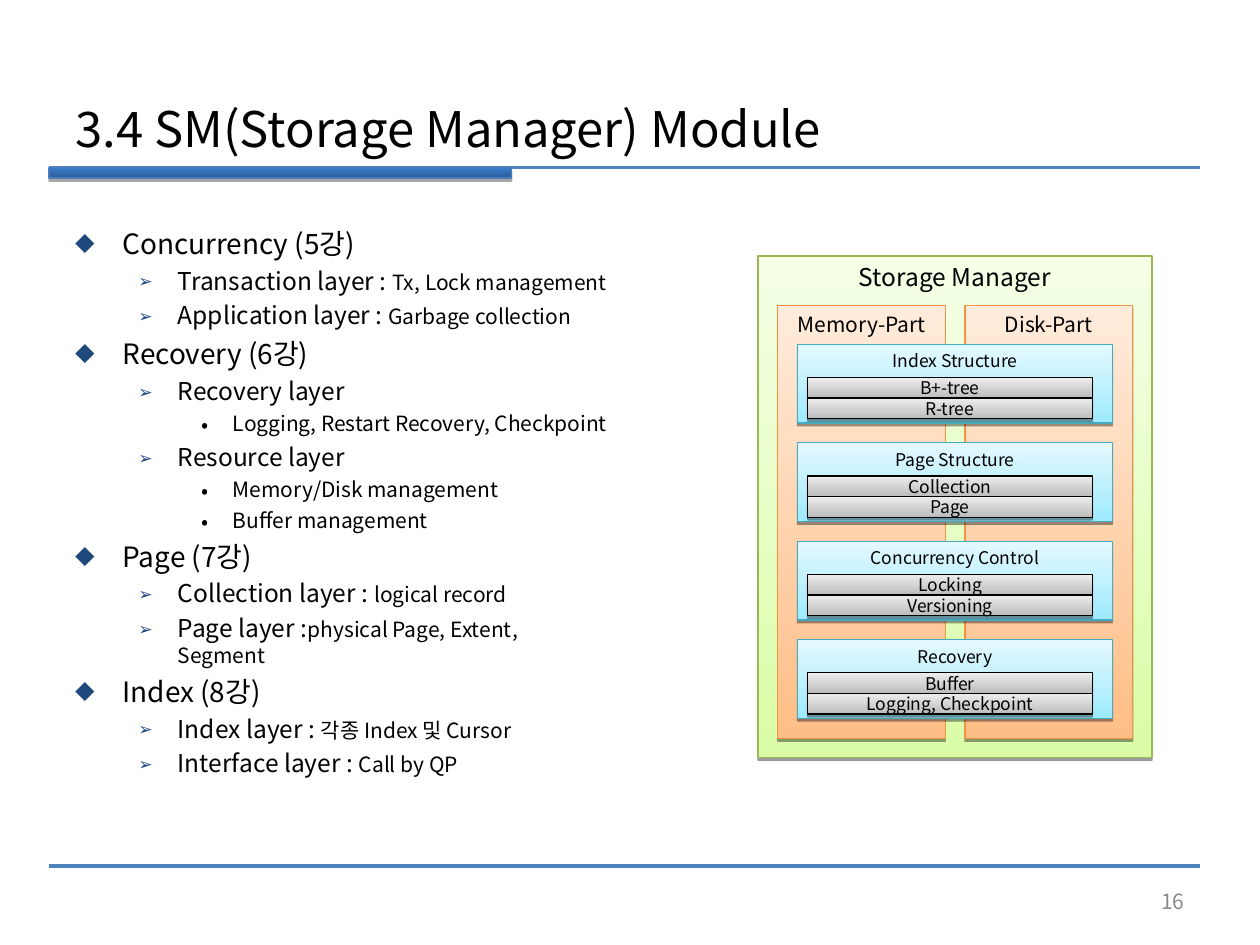
from lxml import etree
from pptx import Presentation
from pptx.dml.color import RGBColor
from pptx.enum import shapes, text
from pptx.oxml import ns
from pptx.util import Pt

FONT = "Noto Sans CJK KR"
BLACK = RGBColor(0, 0, 0)
GRAY = RGBColor(0x89, 0x89, 0x89)
NAVY = RGBColor(0x1F, 0x49, 0x7D)
RULE_BLUE = RGBColor(0x4F, 0x81, 0xBD)


def palette(*codes):
    return [RGBColor.from_string(code) for code in codes]


BLUE = palette("2C5D98", "3A7CCB", "4A7EBB")
GREEN = palette("DAFDA7", "F5FFE6", "98B954")
ORANGE = palette("FFBE86", "FFEBDB", "F69240")
CYAN = palette("9EEAFF", "E4F9FF", "46AAC5")
SILVER = palette("BCBCBC", "EDEDED", "000000")

LEVELS = [
    dict(size=16, margin=27, hang=27, space=4, bullet="◆", color=NAVY, scale=70),
    dict(size=14, margin=58.5, hang=22.5, space=3, bullet="➢", color=NAVY, scale=70),
    dict(size=12, margin=90, hang=18, space=3, bullet="•", color=BLACK, scale=100),
]
DETAIL_SIZE = 12

OUTLINE = [
    (0, "Concurrency (5강)", ""),
    (1, "Transaction layer : ", "Tx, Lock management"),
    (1, "Application layer : ", "Garbage collection"),
    (0, "Recovery (6강)", ""),
    (1, "Recovery layer", ""),
    (2, "Logging, Restart Recovery, Checkpoint", ""),
    (1, "Resource layer", ""),
    (2, "Memory/Disk management", ""),
    (2, "Buffer management", ""),
    (0, "Page (7강)", ""),
    (1, "Collection layer : ", "logical record"),
    (1, "Page layer :", "physical Page, Extent, Segment"),
    (0, "Index (8강)", ""),
    (1, "Index layer : ", "각종 Index 및 Cursor"),
    (1, "Interface layer : ", "Call by QP"),
]

PARTS = ["Memory-Part", "Disk-Part"]
MODULES = [
    ("Index Structure", ["B+-tree", "R-tree"]),
    ("Page Structure", ["Collection", "Page"]),
    ("Concurrency Control", ["Locking", "Versioning"]),
    ("Recovery", ["Buffer", "Logging, Checkpoint"]),
]


def add_xml(parent, tag, **attributes):
    return etree.SubElement(parent, ns.qn(tag), **attributes)


class Deck:
    def __init__(self, width, height):
        self.presentation = Presentation()
        self.presentation.slide_width = Pt(width)
        self.presentation.slide_height = Pt(height)
        self.slide = self.presentation.slides.add_slide(self.presentation.slide_layouts[5])

    def style(self, paragraph, size, color=BLACK, align=text.PP_ALIGN.LEFT):
        paragraph.alignment = align
        paragraph.font.name = FONT
        paragraph.font.size = Pt(size)
        paragraph.font.color.rgb = color
        add_xml(paragraph._p.pPr.find(ns.qn("a:defRPr")), "a:ea", typeface=FONT)

    def title(self, words, left, top, width, height):
        title = self.slide.shapes.title
        title.left, title.top, title.width, title.height = map(Pt, (left, top, width, height))
        title.text_frame.text = words
        title.text_frame.vertical_anchor = text.MSO_ANCHOR.MIDDLE
        self.style(title.text_frame.paragraphs[0], 28)

    def rule(self, left, right, y):
        rule = self.slide.shapes.add_connector(
            shapes.MSO_CONNECTOR.STRAIGHT, Pt(left), Pt(y), Pt(right), Pt(y))
        rule.line.color.rgb = RULE_BLUE
        rule.line.width = Pt(2)
        add_xml(rule._element.spPr, "a:effectLst")

    def block(self, left, top, width, height, colors, words="", size=10,
              anchor=text.MSO_ANCHOR.TOP, opacity=38, drop=1.6):
        block = self.slide.shapes.add_shape(
            shapes.MSO_SHAPE.RECTANGLE, Pt(left), Pt(top), Pt(width), Pt(height))
        block.fill.gradient()
        block.fill.gradient_angle = 90
        for stop, color, position in zip(block.fill.gradient_stops, colors, (0, 1)):
            stop.color.rgb = color
            stop.position = position
        block.line.color.rgb = colors[2]
        block.line.width = Pt(0.75)
        block.shadow.inherit = False
        effects = block._element.spPr.find(ns.qn("a:effectLst"))
        shadow = add_xml(effects, "a:outerShdw", blurRad="0", dist=str(Pt(drop)),
                         dir="5400000", rotWithShape="0")
        shade = add_xml(shadow, "a:srgbClr", val=str(BLACK))
        add_xml(shade, "a:alpha", val=str(opacity * 1000))
        if words:
            frame = block.text_frame
            frame.text = words
            frame.vertical_anchor = anchor
            self.style(frame.paragraphs[0], size, align=text.PP_ALIGN.CENTER)

    def text_box(self, left, top, width, height):
        box = self.slide.shapes.add_textbox(Pt(left), Pt(top), Pt(width), Pt(height))
        box.text_frame.word_wrap = True
        return box.text_frame

    def page_number(self, number, left, top, width, height):
        frame = self.text_box(left, top, width, height)
        frame.text = number
        frame.vertical_anchor = text.MSO_ANCHOR.MIDDLE
        self.style(frame.paragraphs[0], 12, GRAY, text.PP_ALIGN.RIGHT)

    def outline(self, entries, left, top, width, height):
        frame = self.text_box(left, top, width, height)
        for index, (level, heading, detail) in enumerate(entries):
            look = LEVELS[level]
            paragraph = frame.add_paragraph() if index else frame.paragraphs[0]
            paragraph.level = level
            if index:
                plain_layer = level == 1 and not detail
                paragraph.space_before = Pt(3.5 if plain_layer else look["space"])
            self.bullet(paragraph, look)
            self.style(paragraph, look["size"])
            paragraph.add_run().text = heading
            if detail:
                detail_run = paragraph.add_run()
                detail_run.text = detail
                detail_run.font.size = Pt(DETAIL_SIZE)

    def bullet(self, paragraph, look):
        properties = paragraph._p.get_or_add_pPr()
        properties.set("marL", str(Pt(look["margin"])))
        properties.set("indent", str(-Pt(look["hang"])))
        add_xml(add_xml(properties, "a:buClr"), "a:srgbClr", val=str(look["color"]))
        add_xml(properties, "a:buSzPct", val=str(look["scale"] * 1000))
        add_xml(properties, "a:buFont", typeface=FONT)
        add_xml(properties, "a:buChar", char=look["bullet"])

    def save(self):
        self.presentation.save("out.pptx")


def main():
    deck = Deck(720, 540)
    for y in (95.75, 495):
        deck.rule(28, 686, y)
    deck.block(28, 95.75, 264.5, 6, BLUE, opacity=35, drop=1.8)
    deck.title("3.4 SM(Storage Manager) Module", 36, 50.5, 648, 45)
    deck.outline(OUTLINE, 36, 126, 318.25, 356.5)

    deck.block(433.25, 146.25, 225, 286.75, GREEN, "Storage Manager", 14)
    for column, part in enumerate(PARTS):
        deck.block(444.5 + column * 107, 174.5, 95.75, 247.5, ORANGE, part, 12)
    for row, (module, features) in enumerate(MODULES):
        module_top = 196.75 + row * 56.25
        deck.block(455.75, module_top, 180, 45, CYAN, module)
        for line, feature in enumerate(features):
            deck.block(461.5, module_top + 19 + line * 11.8, 162.75, 11.8, SILVER, feature,
                       anchor=text.MSO_ANCHOR.MIDDLE)

    deck.page_number("16", 516, 500.5, 168, 28.75)
    deck.save()


if __name__ == "__main__":
    main()
